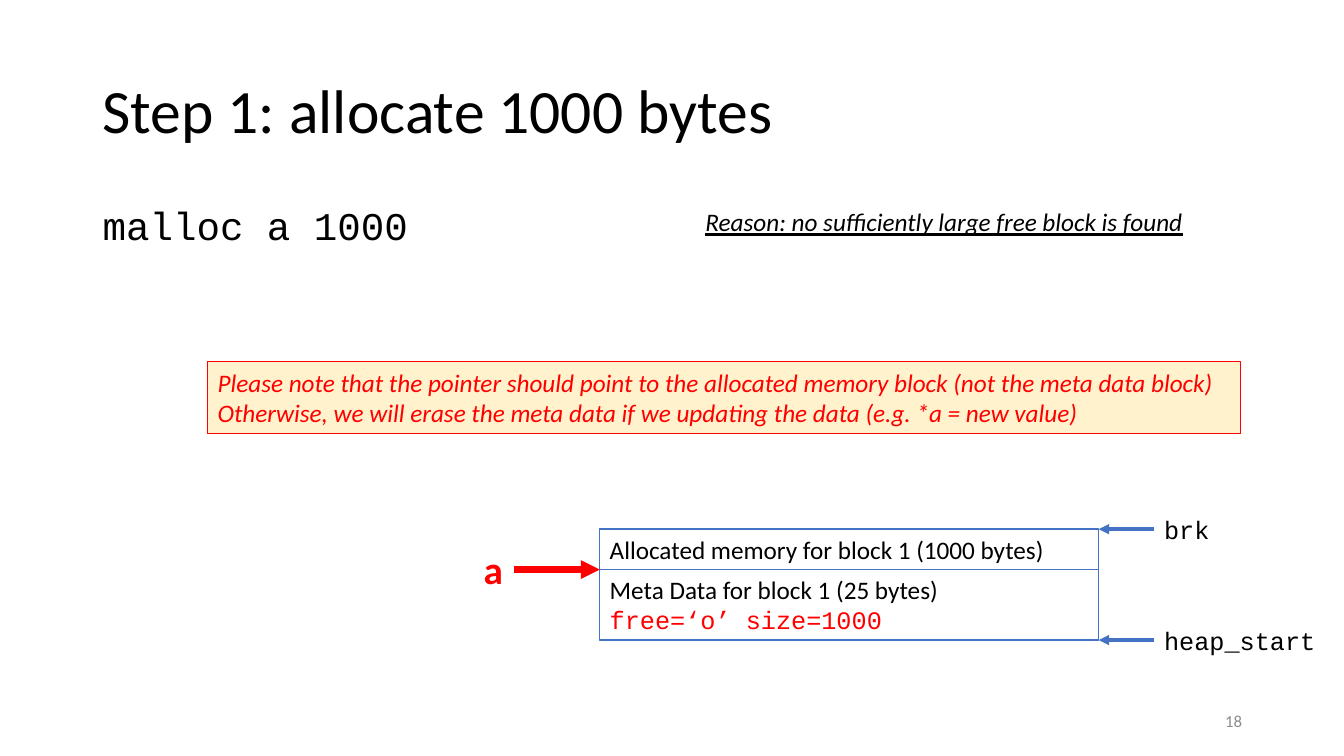
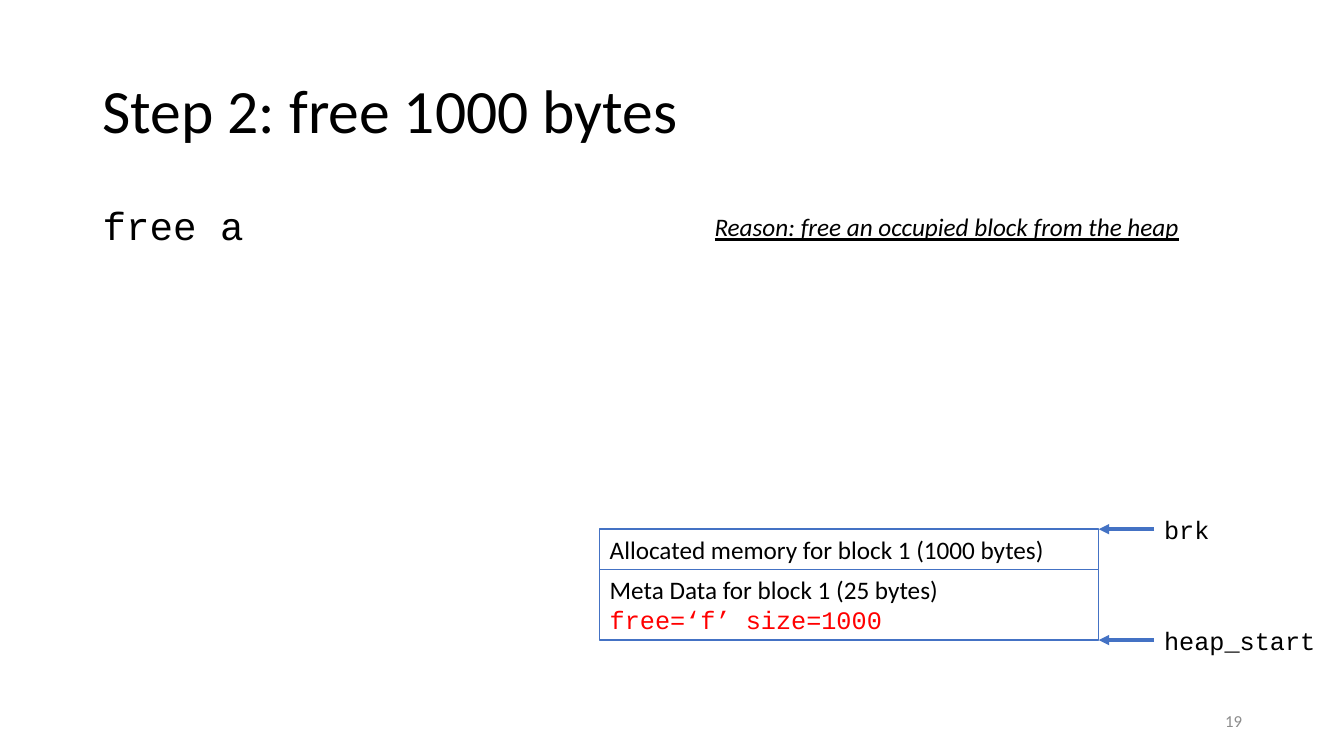
"""Build two slides that step through a heap while it allocates and frees a block."""
import dataclasses

import lxml.etree
import pptx
import pptx.dml.color
import pptx.enum.shapes
import pptx.enum.text
import pptx.oxml.ns
import pptx.shapes.base
import pptx.shapes.connector
import pptx.slide
import pptx.text.text
import pptx.util


@dataclasses.dataclass(frozen=True)
class Theme:
    sans: str = "Calibri"
    mono: str = "Courier New"
    black: str = "000000"
    white: str = "FFFFFF"
    red: str = "FF0000"
    blue: str = "4472C4"
    cream: str = "FFF2CC"
    grey: str = "8C8C8C"
    title: int = 44
    large: int = 28
    text: int = 18
    small: int = 12


@dataclasses.dataclass(frozen=True)
class Area:
    col: float
    row: float
    cols: float
    rows: float


@dataclasses.dataclass(frozen=True)
class Label:
    text: str
    row: float
    cols: float


@dataclasses.dataclass(frozen=True)
class Step:
    number: int
    title: str
    code: str
    reason: str
    place: Area
    state: str
    pointer: str = ""
    notes: tuple[str, ...] = ()


THEME = Theme()
CELL = 0.1
WIDE, HIGH = 133.33, 75
LEFT, SPAN = 9.2, 115
LINE = 4
TOP, SPLIT, BASE = 52.5, 56.5, 63.5
HEAP_COL, HEAP_COLS = 59.5, 49.5
LABEL_COL = 114.5
LABELS = (Label("heap_start", BASE, 17.1), Label("brk", TOP, 6.5))
STEPS = (
    Step(18, "Step 1: allocate 1000 bytes", "malloc a 1000",
         "Reason: no sufficiently large free block is found",
         Area(69, 20, 50.3, LINE), "free=‘o’ size=1000", "a",
         ("Please note that the pointer should point to the allocated memory block "
          "(not the meta data block)",
          "Otherwise, we will erase the meta data if we updating the data "
          "(e.g. *a = new value)")),
    Step(19, "Step 2: free 1000 bytes", "free a",
         "Reason: free an occupied block from the heap",
         Area(69.9, 20.5, 48.6, LINE), "free=‘f’ size=1000"),
)


def unit(cells: float) -> int:
    return pptx.util.Inches(cells * CELL)


def tint(code: str) -> pptx.dml.color.RGBColor:
    return pptx.dml.color.RGBColor.from_string(code)


def write(frame: pptx.text.text.TextFrame, text: str, *, size: int = THEME.text,
          font: str = THEME.sans, color: str = THEME.black, bold: bool = False,
          slant: bool = False, under: bool = False, right: bool = False,
          space: float = 1.0) -> None:
    para = frame.add_paragraph() if frame.text else frame.paragraphs[0]
    align = pptx.enum.text.PP_ALIGN
    para.alignment = align.RIGHT if right else align.LEFT
    para.line_spacing = space
    run = para.add_run()
    run.text = text
    run.font.name, run.font.size = font, pptx.util.Pt(size)
    run.font.bold, run.font.italic, run.font.underline = bold, slant, under
    run.font.color.rgb = tint(color)


def place(slide: pptx.slide.Slide, area: Area, *, wrap: bool = True,
          middle: bool = False, fill: str = "", edge: str = "",
          width: float = 1) -> pptx.shapes.base.BaseShape:
    spot = [unit(n) for n in (area.col, area.row, area.cols, area.rows)]
    if fill:
        shape = slide.shapes.add_shape(pptx.enum.shapes.MSO_SHAPE.RECTANGLE, *spot)
        shape.shadow.inherit = False
        shape.fill.solid()
        shape.fill.fore_color.rgb = tint(fill)
        shape.line.color.rgb = tint(edge)
        shape.line.width = pptx.util.Pt(width)
    else:
        shape = slide.shapes.add_textbox(*spot)
    shape.text_frame.word_wrap = wrap
    anchor = pptx.enum.text.MSO_ANCHOR
    shape.text_frame.vertical_anchor = anchor.MIDDLE if middle else anchor.TOP
    return shape


def arrow(slide: pptx.slide.Slide, start: pptx.shapes.base.BaseShape, side: int,
          col: float, row: float, color: str, width: float) -> None:
    line: pptx.shapes.connector.Connector = slide.shapes.add_connector(
        pptx.enum.shapes.MSO_CONNECTOR.STRAIGHT, 0, 0, unit(col), unit(row))
    line.begin_connect(start, side)
    line.line.color.rgb = tint(color)
    line.line.width = pptx.util.Pt(width)
    name = pptx.oxml.ns.qn
    props = line.element.spPr
    lxml.etree.SubElement(props.find(name("a:ln")), name("a:tailEnd"), type="triangle")
    lxml.etree.SubElement(props, name("a:effectLst"))


def frame(slide: pptx.slide.Slide, step: Step) -> None:
    title = place(slide, Area(LEFT, 4, SPAN, 14.5), middle=True)
    write(title.text_frame, step.title, size=THEME.title, space=0.9)
    code = place(slide, Area(LEFT, 20, SPAN, 47.6))
    write(code.text_frame, step.code, size=THEME.large, font=THEME.mono, space=0.9)
    foot = place(slide, Area(LEFT + SPAN - 30, 69.5, 30, LINE), middle=True)
    write(foot.text_frame, str(step.number), size=THEME.small, color=THEME.grey, right=True)
    reason = place(slide, step.place, wrap=False)
    write(reason.text_frame, step.reason, slant=True, under=True)


def heap(slide: pptx.slide.Slide, state: str) -> None:
    meta, block = (
        place(slide, Area(HEAP_COL, row, HEAP_COLS, end - row),
              fill=THEME.white, edge=THEME.blue)
        for row, end in ((SPLIT, BASE), (TOP, SPLIT)))
    write(meta.text_frame, "Meta Data for block 1 (25 bytes)")
    write(meta.text_frame, state, font=THEME.mono, color=THEME.red)
    write(block.text_frame, "Allocated memory for block 1 (1000 bytes)")
    for label in LABELS:
        area = Area(LABEL_COL, label.row - LINE / 2, label.cols, LINE)
        box = place(slide, area, wrap=False)
        write(box.text_frame, label.text, font=THEME.mono)
        arrow(slide, box, 1, HEAP_COL + HEAP_COLS, label.row, THEME.blue, 2.5)


def point(slide: pptx.slide.Slide, text: str) -> None:
    box = place(slide, Area(47, SPLIT - 2.85, 4, 5.7), wrap=False)
    write(box.text_frame, text, size=THEME.large, color=THEME.red, bold=True)
    arrow(slide, box, 3, HEAP_COL, SPLIT, THEME.red, 4.5)


def warn(slide: pptx.slide.Slide, notes: tuple[str, ...]) -> None:
    box = place(slide, Area(20.6, 35.9, 102.5, 7.1), wrap=False,
                fill=THEME.cream, edge=THEME.red, width=0.75)
    for note in notes:
        write(box.text_frame, note, color=THEME.red, slant=True)


def main() -> None:
    deck = pptx.Presentation()
    deck.slide_width, deck.slide_height = unit(WIDE), unit(HIGH)
    for step in STEPS:
        slide = deck.slides.add_slide(deck.slide_layouts[6])
        frame(slide, step)
        heap(slide, step.state)
        if step.pointer:
            point(slide, step.pointer)
        if step.notes:
            warn(slide, step.notes)
    deck.save("out.pptx")


if __name__ == "__main__":
    main()
